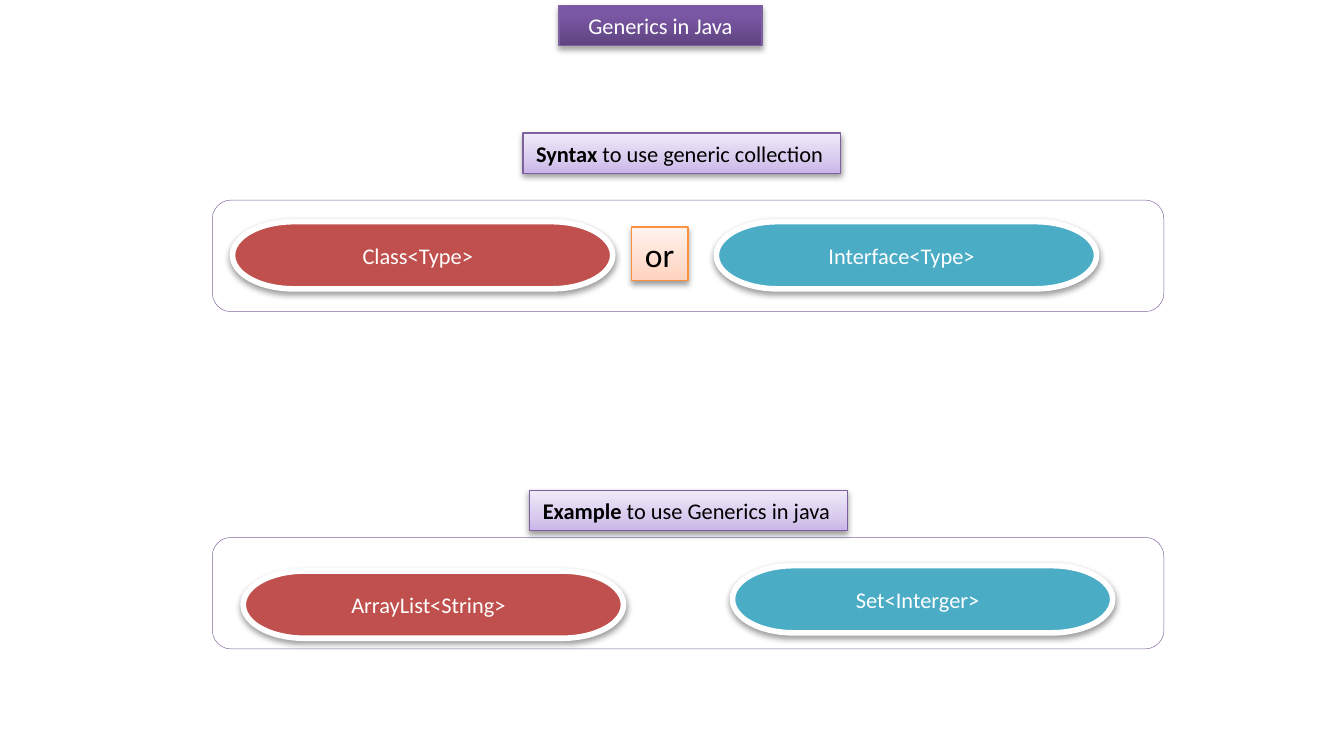
import pptx
import pptx.dml.color
import pptx.enum.shapes
import pptx.enum.text
import pptx.oxml.ns
import pptx.util
from lxml import etree

SHAPE = pptx.enum.shapes.MSO_SHAPE
ALIGN = pptx.enum.text.PP_ALIGN
ANCHOR = pptx.enum.text.MSO_ANCHOR
AUTO = pptx.enum.text.MSO_AUTO_SIZE

# Grid: 100 columns by 100 rows over the slide
COLUMN = pptx.util.Inches(10) / 100
ROW = pptx.util.Inches(5.5) / 100

WHITE, BLACK = "FFFFFF", "000000"
RED, TEAL, PURPLE = "C0504D", "4BACC6", "7D60A0"
TITLE_FILL = [(0, "5F4480"), (80, "7B58A6"), (100, "7C57A8")]
LILAC_FILL = [(0, "C9B5E8"), (35, "D8CBEE"), (100, "F0EAF9")]
PEACH_FILL = [(0, "FFD2BD"), (35, "FFDED0"), (100, "FFF2ED")]
PILL_SIZE = (28.3, 9.09)


def rgb(value):
    return pptx.dml.color.RGBColor.from_string(value)


def add_child(parent, tag, **attributes):
    child = etree.SubElement(parent, pptx.oxml.ns.qn(tag))
    for key, value in attributes.items():
        child.set(key, str(value))
    return child


def add_gradient(shape, stops):
    shape.fill.gradient()
    shape.fill.gradient_angle = 90  # first stop at the bottom
    stop_list = next(shape._element.spPr.iter(pptx.oxml.ns.qn("a:gsLst")))
    for old_stop in list(stop_list):
        stop_list.remove(old_stop)
    for position, color in stops:
        stop = add_child(stop_list, "a:gs", pos=position * 1000)
        add_child(stop, "a:srgbClr", val=color)


def add_shadow(shape, opacity, distance):
    effects = shape._element.spPr.find(pptx.oxml.ns.qn("a:effectLst"))
    shadow = add_child(effects, "a:outerShdw", blurRad=40000, dist=distance,
                       dir=5400000, rotWithShape=0)
    color = add_child(shadow, "a:srgbClr", val=BLACK)
    add_child(color, "a:alpha", val=opacity * 1000)


def add_block(slide, kind, box, fill, line, width):
    left, top, columns, rows = box
    block = slide.shapes.add_shape(
        kind, round(left * COLUMN), round(top * ROW),
        round(columns * COLUMN), round(rows * ROW))
    block.shadow.inherit = False
    if isinstance(fill, list):
        add_gradient(block, fill)
    else:
        block.fill.solid()
        block.fill.fore_color.rgb = rgb(fill)
    block.line.color.rgb = rgb(line)
    block.line.width = pptx.util.Pt(width)
    return block


def write(block, runs, size, color, align, anchor, wrap):
    frame = block.text_frame
    frame.word_wrap = wrap
    frame.vertical_anchor = anchor
    paragraph = frame.paragraphs[0]
    paragraph.alignment = align
    for text, bold in runs:
        run = paragraph.add_run()
        run.text = text
        run.font.name = "Calibri"
        run.font.size = pptx.util.Pt(size)
        run.font.bold = bold
        run.font.color.rgb = rgb(color)


def add_label(slide, box, runs, fill, line=PURPLE, size=12):
    label = add_block(slide, SHAPE.RECTANGLE, box, fill, line, 0.75)
    add_shadow(label, 38, 20000)
    write(label, runs, size, BLACK, ALIGN.LEFT, ANCHOR.TOP, False)
    label.text_frame.auto_size = AUTO.SHAPE_TO_FIT_TEXT


def add_pill(slide, box, text, fill):
    pill = add_block(slide, SHAPE.FLOWCHART_TERMINATOR, box, fill, WHITE, 3)
    add_shadow(pill, 38, 20000)
    write(pill, [(text, False)], 12, WHITE, ALIGN.CENTER, ANCHOR.MIDDLE, True)
    pill.text_frame.margin_right = pptx.util.Inches(0.17)


def add_title(slide, box):
    title = add_block(slide, SHAPE.RECTANGLE, box, TITLE_FILL, PURPLE, 0.75)
    add_shadow(title, 35, 23000)
    write(title, [("Generics in Java", False)], 12, WHITE,
          ALIGN.CENTER, ANCHOR.TOP, True)
    title.text_frame.auto_size = AUTO.SHAPE_TO_FIT_TEXT


def add_section(slide, box, heading, heading_at, pills):
    """A panel with its heading above and its pills inside."""
    left, top = box[:2]
    add_block(slide, SHAPE.ROUNDED_RECTANGLE, box, WHITE, "8064A2", 0.25)
    for text, fill, (across, down) in pills:
        add_pill(slide, (left + across, top + down, *PILL_SIZE), text, fill)
    across, up = heading_at
    add_label(slide, (left + across, top - up, 23.65, 5.45), heading, LILAC_FILL)


def main():
    deck = pptx.Presentation()
    deck.slide_width = round(100 * COLUMN)
    deck.slide_height = round(100 * ROW)
    slide = deck.slides.add_slide(deck.slide_layouts[6])

    add_title(slide, (41.6, 0.73, 15.1, 5.45))

    # Syntax section, with "or" between its pills
    syntax_box = (15.8, 27.09, 70.8, 15.09)
    add_section(slide, syntax_box,
                [("Syntax", True), (" to use generic collection", False)],
                (23.1, 9.09),
                [("Class<Type>", RED, (1.5, 2.91)),
                 ("Interface<Type>", TEAL, (37.5, 2.91))])
    add_label(slide, (syntax_box[0] + 31.2, syntax_box[1] + 3.64, 4.2, 7.27),
              [("or", False)], PEACH_FILL, "F69240", 18)

    # Example section
    add_section(slide, (15.8, 72.73, 70.8, 15.09),
                [("Example", True), (" to use Generics in java", False)],
                (23.6, 6.36),
                [("ArrayList<String>", RED, (2.3, 4.55)),
                 ("Set<Interger>", TEAL, (38.7, 3.82))])

    deck.save("out.pptx")


if __name__ == "__main__":
    main()
